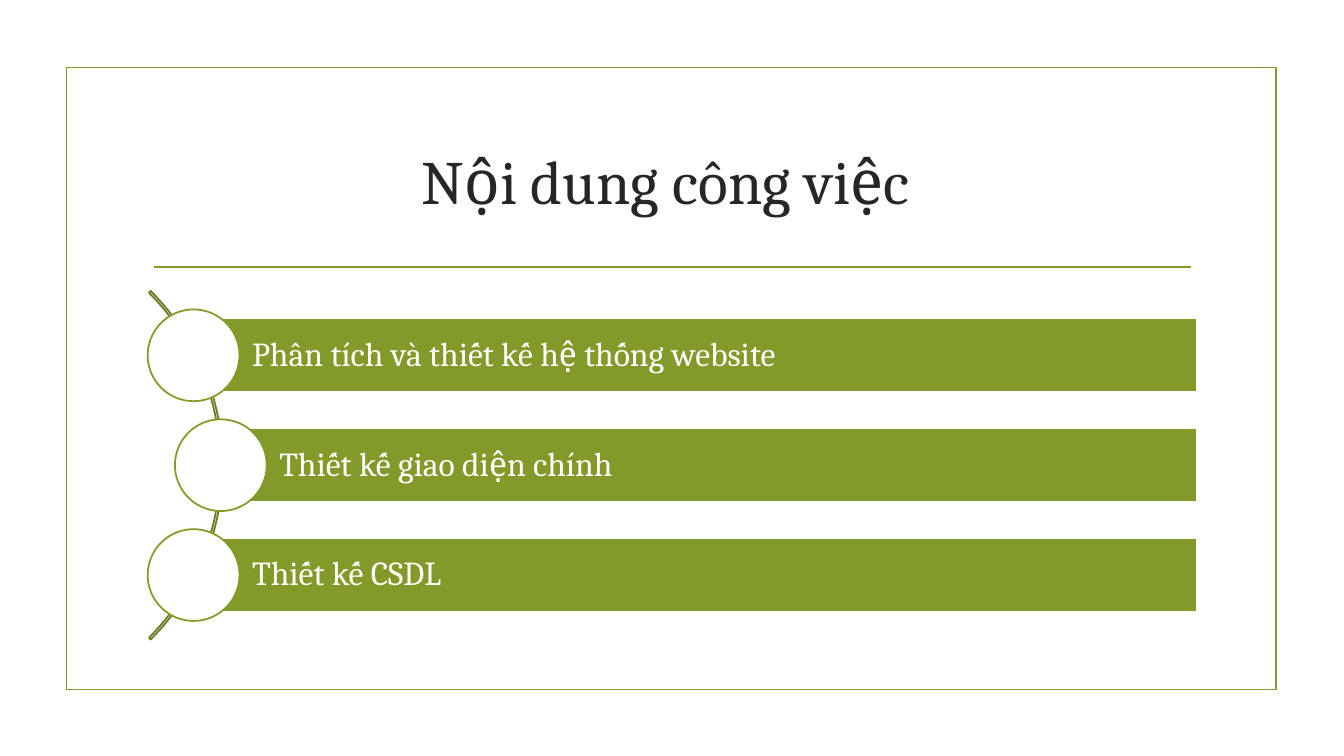
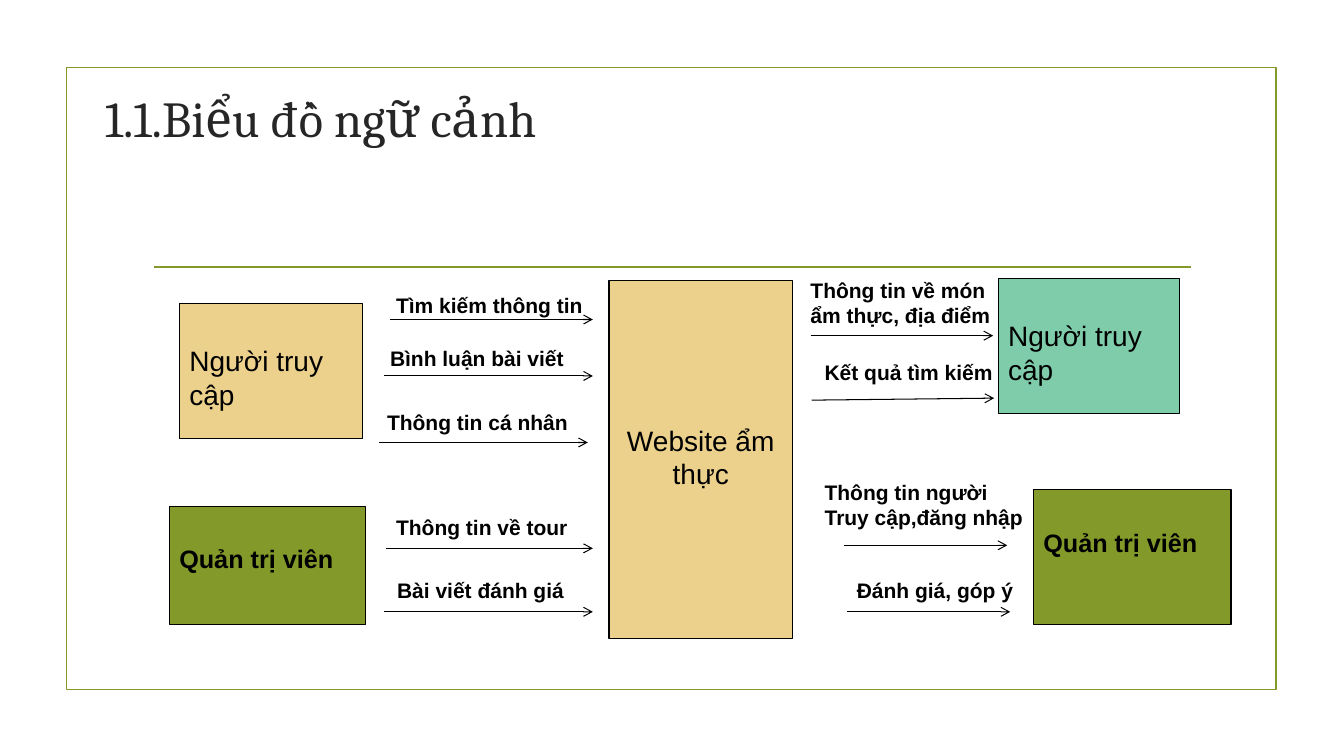
from lxml import etree
from pptx import Presentation
from pptx.dml.color import RGBColor
from pptx.enum.shapes import MSO_CONNECTOR as Connector, MSO_SHAPE as Preset
from pptx.enum.text import MSO_ANCHOR as Anchor, MSO_AUTO_SIZE as AutoSize, PP_ALIGN as Align
from pptx.oxml.ns import qn
from pptx.util import Inches, Pt

COLORS = {
    "olive": "83992A",
    "dark olive": "697B22",
    "sand": "EBD18C",
    "mint": "7FCCAB",
    "ink": "262626",
    "black": "000000",
    "white": "FFFFFF",
}
HEADING_FONT = "Cambria"
DIAGRAM_FONT = "Arial"
TITLE_ONLY = 5


def color(name):
    return RGBColor.from_string(COLORS[name])


def write(frame, text, *, font=DIAGRAM_FONT, size=15, ink="black", bold=False,
          align=Align.LEFT, anchor=Anchor.TOP, insets=(0.1, 0.05, 0.1, 0.05),
          wrap=True, spacing=None):
    frame.auto_size = AutoSize.NONE
    frame.word_wrap = wrap
    frame.vertical_anchor = anchor
    frame.margin_left, frame.margin_top, frame.margin_right, frame.margin_bottom = map(Inches, insets)
    for index, line in enumerate(text.split("\n")):
        para = frame.add_paragraph() if index else frame.paragraphs[0]
        para.alignment = align
        if spacing:
            para.line_spacing = spacing
        span = para.add_run()
        span.text = line
        span.font.name = font
        span.font.size = Pt(size)
        span.font.bold = bold
        span.font.color.rgb = color(ink)


def add_box(page, area, *, preset=Preset.RECTANGLE, fill=None, line="black", weight=0.75):
    box = page.shapes.add_shape(preset, *map(Inches, area))
    box.shadow.inherit = False
    if fill:
        box.fill.solid()
        box.fill.fore_color.rgb = color(fill)
    else:
        box.fill.background()
    box.line.color.rgb = color(line)
    box.line.width = Pt(weight)
    return box


def add_line(page, start, end, *, line="black", weight=0.75, arrow=False):
    connector = page.shapes.add_connector(Connector.STRAIGHT, *map(Inches, (*start, *end)))
    connector.line.color.rgb = color(line)
    connector.line.width = Pt(weight)
    if arrow:
        outline = connector.line._get_or_add_ln()
        etree.SubElement(outline, qn("a:tailEnd"), type="arrow")
    etree.SubElement(connector._element.spPr, qn("a:effectLst"))


def add_page(deck, title, area, *, size, align):
    page = deck.slides.add_slide(deck.slide_layouts[TITLE_ONLY])
    add_box(page, (0.66, 0.67, 12, 6.17), line="olive", weight=1.25)
    add_line(page, (1.53, 2.65), (11.81, 2.65), line="olive", weight=1.25)
    heading = page.shapes.title
    heading.left, heading.top, heading.width, heading.height = map(Inches, area)
    write(heading.text_frame, title, font=HEADING_FONT, size=size, ink="ink",
          align=align, anchor=Anchor.MIDDLE)
    return page


def add_entity(page, text, area, *, fill, drop, size=20, bold=False, align=Align.LEFT):
    box = add_box(page, area, fill=fill)
    write(box.text_frame, text, size=size, bold=bold, align=align, insets=(0.1, drop, 0.1, 0.05))


def add_flow(page, text, label, start, end):
    left, top, width = label
    height = 0.35 + 0.26 * text.count("\n")
    box = page.shapes.add_textbox(*map(Inches, (left, top, width, height)))
    write(box.text_frame, text, bold=True, wrap=False)
    add_line(page, start, end, arrow=True)


def add_agenda(page, items):
    right, first_top, pitch, height, diameter = 11.87, 3.16, 1.09, 0.73, 0.91
    arc = add_box(page, (-2.68, 2.17, 4.89, 4.89), preset=Preset.BLOCK_ARC,
                  line="dark olive", weight=1.25)
    for index, value in enumerate((189, 27, 0.005)):
        arc.adjustments[index] = value
    for index, (text, left) in enumerate(items):
        top = first_top + index * pitch
        bar = add_box(page, (left, top, right - left, height),
                      fill="olive", line="white", weight=1.25)
        write(bar.text_frame, text, font=HEADING_FONT, size=24, ink="white",
              anchor=Anchor.MIDDLE, insets=(0.58, 0.07, 0.07, 0.07), spacing=0.9)
        circle = (left - diameter / 2, top + (height - diameter) / 2, diameter, diameter)
        add_box(page, circle, preset=Preset.OVAL, fill="white", line="olive", weight=1.25)


def build_agenda(deck):
    page = add_page(deck, "Nội dung công việc ", (1.42, 1.07, 10.5, 1.43),
                    size=44, align=Align.CENTER)
    add_agenda(page, [
        ("Phân tích và thiết kế hệ thống website", 1.92),
        ("Thiết kế giao diện chính", 2.19),
        ("Thiết kế CSDL", 1.92),
    ])


def build_context(deck):
    page = add_page(deck, "1.1.Biểu đồ ngữ cảnh", (0.94, 0.84, 7.56, 0.64),
                    size=36, align=Align.LEFT)
    visitor = {"text": "Người truy cập", "drop": 0.4}
    manager = {"text": "Quản trị viên", "drop": 0.37, "fill": "olive", "size": 18, "bold": True}
    add_entity(page, area=(1.78, 3.01, 1.82, 1.34), fill="sand", **visitor)
    add_entity(page, area=(9.9, 2.76, 1.8, 1.34), fill="mint", **visitor)
    add_entity(page, area=(1.68, 5.02, 1.95, 1.18), **manager)
    add_entity(page, area=(10.25, 4.86, 1.96, 1.34), **manager)
    add_entity(page, "Website ẩm thực", (6.04, 2.78, 1.82, 3.55),
               fill="sand", drop=1.42, align=Align.CENTER)
    flows = [
        ("Tìm kiếm thông tin", (3.83, 2.85, 2.07), (3.87, 3.17), (5.88, 3.17)),
        ("Bình luận bài viết", (3.77, 3.38, 1.94), (3.81, 3.73), (5.88, 3.73)),
        ("Thông tin cá nhân", (3.74, 4.01, 2.01), (3.76, 4.39), (5.83, 4.39)),
        ("Thông tin về tour", (3.83, 5.06, 1.91), (3.83, 5.44), (5.88, 5.44)),
        ("Bài viết đánh giá", (3.84, 5.68, 1.86), (3.81, 6.07), (5.88, 6.07)),
        ("Thông tin về món\nẩm thực, địa điểm", (7.94, 2.7, 2.01), (8.04, 3.33), (9.85, 3.33)),
        ("Kết quả tìm kiếm", (8.08, 3.52, 1.88), (8.05, 3.97), (9.86, 3.95)),
        ("Thông tin người\nTruy cập,đăng nhập", (8.08, 4.71, 2.19), (8.37, 5.41), (9.99, 5.41)),
        ("Đánh giá, góp ý", (8.4, 5.68, 1.76), (8.4, 6.07), (10.02, 6.07)),
    ]
    for flow in flows:
        add_flow(page, *flow)


def main():
    deck = Presentation()
    deck.slide_width, deck.slide_height = Inches(13.33), Inches(7.5)
    build_agenda(deck)
    build_context(deck)
    deck.save("out.pptx")


if __name__ == "__main__":
    main()
